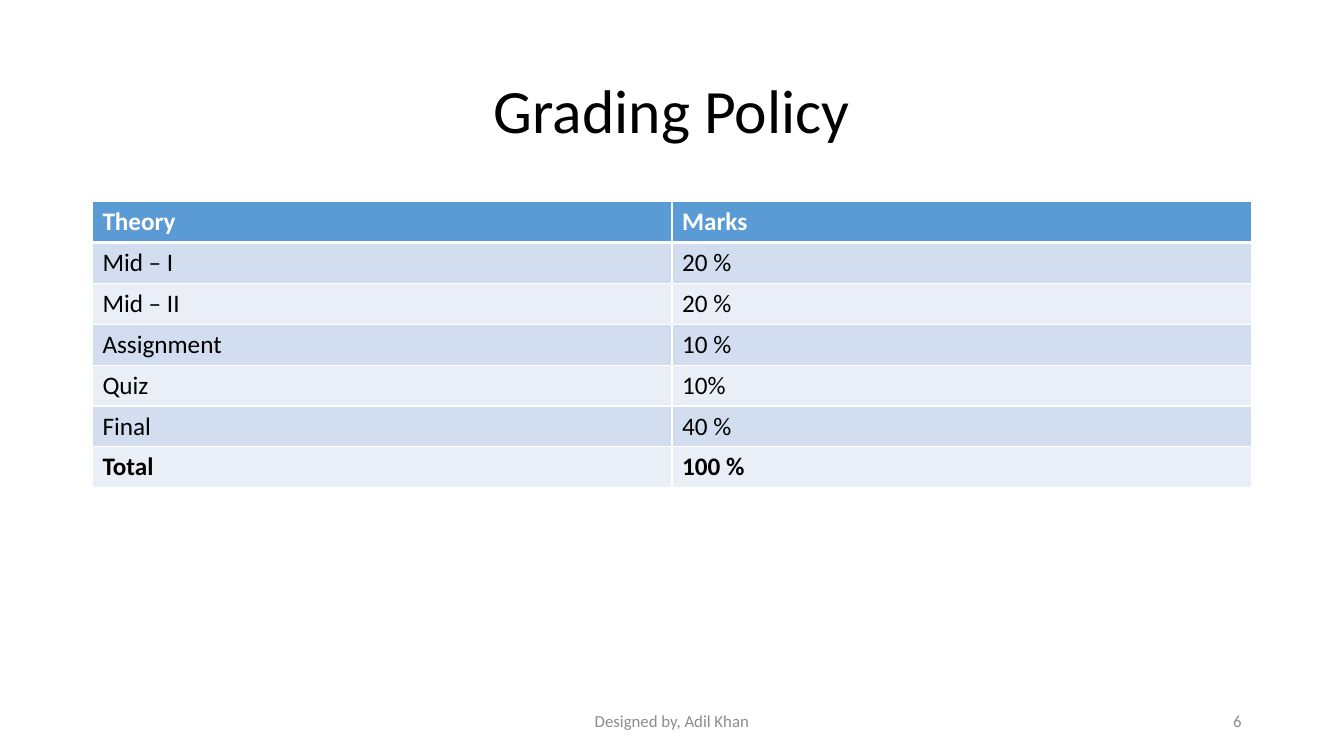
from dataclasses import dataclass

from lxml import etree
from pptx import Presentation
from pptx.dml.color import RGBColor
from pptx.enum import text
from pptx.oxml import ns
from pptx.util import Cm, Pt


@dataclass(frozen=True)
class Theme:
    """Colours, font and type sizes of the slide."""
    font: str = "Calibri"
    ink: str = "000000"
    muted: str = "8C8C8C"
    white: str = "FFFFFF"
    header: str = "5B9BD5"
    bands: tuple = ("D2DEEF", "EAEFF7")
    title_size: int = 44
    table_size: int = 18
    footer_size: int = 12


THEME = Theme()
GRADES = [
    ("Theory", "Marks"),
    ("Mid – I", "20 %"),
    ("Mid – II", "20 %"),
    ("Assignment", "10 %"),
    ("Quiz", "10%"),
    ("Final", "40 %"),
    ("Total", "100 %"),
]
MARGIN, CONTENT_WIDTH = 2.33, 29.21
ROW_HEIGHT = 1.03


def style(paragraph, size, color, bold=False):
    """Set the font of a whole paragraph."""
    font = paragraph.font
    font.name, font.size, font.bold = THEME.font, Pt(size), bold
    font.color.rgb = RGBColor.from_string(color)


def add_label(slide, wording, box, size, color, align):
    """Add one line of vertically centred text and return its paragraph."""
    frame = slide.shapes.add_textbox(*map(Cm, box)).text_frame
    frame.word_wrap = True
    frame.vertical_anchor = text.MSO_ANCHOR.MIDDLE
    paragraph = frame.paragraphs[0]
    paragraph.text = wording
    paragraph.alignment = align
    style(paragraph, size, color)
    return paragraph


def add_borders(cell, bottom_width):
    """Draw white borders, with the given bottom width in points."""
    properties = cell._tc.get_or_add_tcPr()
    widths = {"L": 1, "R": 1, "T": 1, "B": bottom_width}
    for position, (side, width) in enumerate(widths.items()):
        line = etree.Element(ns.qn(f"a:ln{side}"), w=str(Pt(width)))
        fill = etree.SubElement(line, ns.qn("a:solidFill"))
        etree.SubElement(fill, ns.qn("a:srgbClr"), val=THEME.white)
        properties.insert(position, line)


def add_grades(slide):
    """Add the banded table of grade weights."""
    rows, columns = len(GRADES), len(GRADES[0])
    grades = slide.shapes.add_table(
        rows, columns, Cm(MARGIN), Cm(5.08),
        Cm(CONTENT_WIDTH), Cm(rows * ROW_HEIGHT)).table
    for row, entries in enumerate(GRADES):
        is_header, is_total = row == 0, row == rows - 1
        background = THEME.header if is_header else THEME.bands[(row - 1) % 2]
        for column, entry in enumerate(entries):
            cell = grades.cell(row, column)
            cell.text = entry
            cell.fill.solid()
            cell.fill.fore_color.rgb = RGBColor.from_string(background)
            add_borders(cell, 3 if is_header else 1)
            style(cell.text_frame.paragraphs[0], THEME.table_size,
                  THEME.white if is_header else THEME.ink,
                  is_header or is_total)


def main():
    """Build the grading policy slide."""
    deck = Presentation()
    deck.slide_width, deck.slide_height = Cm(33.87), Cm(19.05)
    slide = deck.slides.add_slide(deck.slide_layouts[6])
    title = add_label(slide, "Grading Policy", (MARGIN, 1.01, CONTENT_WIDTH, 3.68),
                      THEME.title_size, THEME.ink, text.PP_ALIGN.CENTER)
    title.line_spacing = 0.9
    add_grades(slide)
    add_label(slide, "Designed by, Adil Khan", (11.22, 17.66, 11.43, 1.01),
              THEME.footer_size, THEME.muted, text.PP_ALIGN.CENTER)
    add_label(slide, "6", (23.92, 17.66, 7.62, 1.01),
              THEME.footer_size, THEME.muted, text.PP_ALIGN.RIGHT)
    deck.save("out.pptx")


if __name__ == "__main__":
    main()
